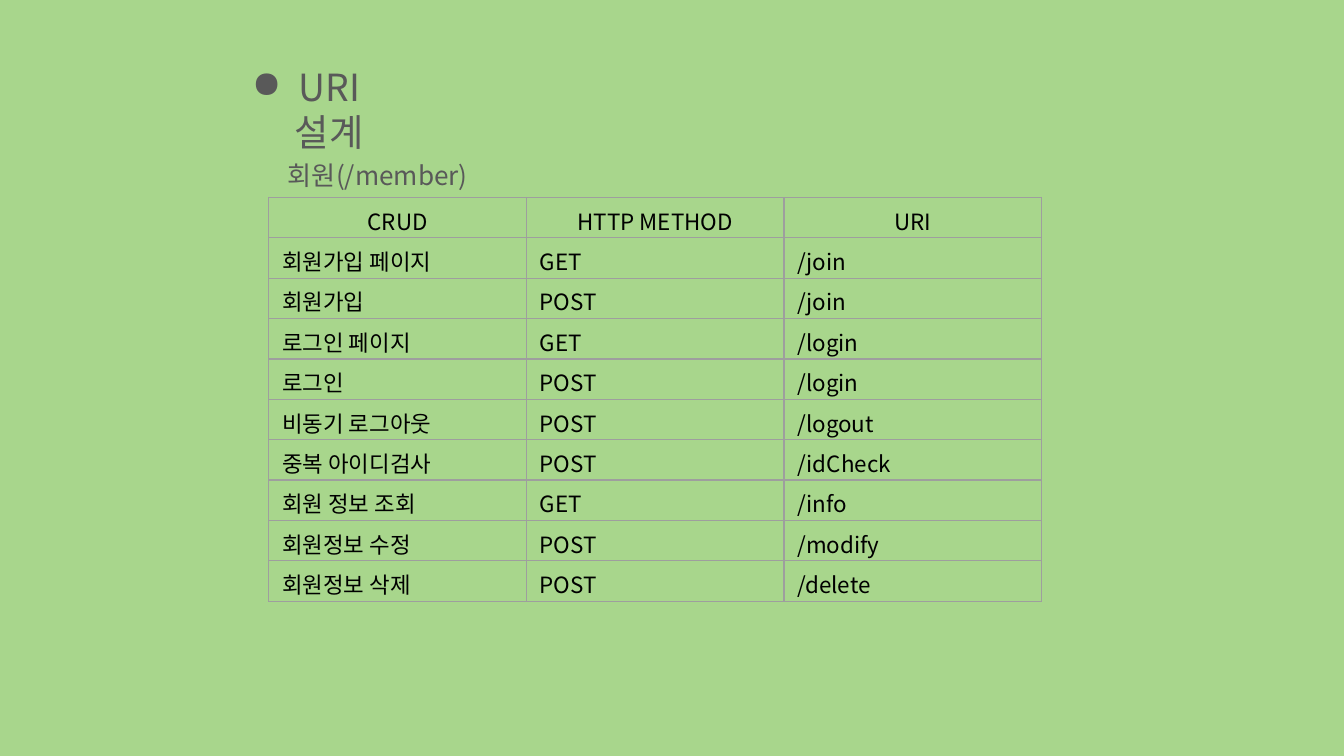
import lxml.etree as etree
import pptx
import pptx.dml.color
import pptx.enum.text
import pptx.oxml.ns
import pptx.util

Pt = pptx.util.Pt
qn = pptx.oxml.ns.qn
RGB = pptx.dml.color.RGBColor
CENTER = pptx.enum.text.PP_ALIGN.CENTER
LEFT = pptx.enum.text.PP_ALIGN.LEFT
MIDDLE = pptx.enum.text.MSO_ANCHOR.MIDDLE

GREEN = RGB(0xA8, 0xD6, 0x8C)
GRAY = RGB(0x59, 0x59, 0x59)
BLACK = RGB(0x00, 0x00, 0x00)
RULE = RGB(0x9E, 0x9E, 0x9E)
FONT = "Noto Sans CJK KR"

ROWS = [
    ("CRUD", "HTTP METHOD", "URI"),
    ("회원가입 페이지", "GET", "/join"),
    ("회원가입", "POST", "/join"),
    ("로그인 페이지", "GET", "/login"),
    ("로그인", "POST", "/login"),
    ("비동기 로그아웃", "POST", "/logout"),
    ("중복 아이디검사", "POST", "/idCheck"),
    ("회원 정보 조회", "GET", "/info"),
    ("회원정보 수정", "POST", "/modify"),
    ("회원정보 삭제", "POST", "/delete"),
]


def add_run(para, text, size, color):
    run = para.add_run()
    run.text = text
    run.font.size = Pt(size)
    run.font.color.rgb = color
    run.font.name = FONT
    etree.SubElement(run.font._element, qn("a:ea"), typeface=FONT)


def add_label(slide, box, text, size, margin, hang=0, bullet=None):
    """Add a centred text box; margin and hang set the paragraph indent."""
    shape = slide.shapes.add_textbox(*map(Pt, box))
    frame = shape.text_frame
    frame.word_wrap = True
    frame.vertical_anchor = MIDDLE
    frame.margin_left = frame.margin_right = Pt(7.2)
    frame.margin_top = frame.margin_bottom = Pt(7.2)
    para = frame.paragraphs[0]
    para.alignment = CENTER
    props = para._p.get_or_add_pPr()
    props.set("marL", str(Pt(margin)))
    props.set("indent", str(Pt(-hang)))
    if bullet:
        tint = etree.SubElement(props, qn("a:buClr"))
        etree.SubElement(tint, qn("a:srgbClr"), val=str(GRAY))
        etree.SubElement(props, qn("a:buChar"), char=bullet)
    add_run(para, text, size, GRAY)


def add_rules(cell):
    """Draw a thin line on each side of the cell."""
    props = cell._tc.get_or_add_tcPr()
    for side in ("lnL", "lnR", "lnT", "lnB"):
        line = etree.SubElement(props, qn(f"a:{side}"), w=str(Pt(0.75)))
        fill = etree.SubElement(line, qn("a:solidFill"))
        etree.SubElement(fill, qn("a:srgbClr"), val=str(RULE))


def add_grid(slide, left, top, width, pitch):
    frame = slide.shapes.add_table(
        len(ROWS), len(ROWS[0]), Pt(left), Pt(top),
        Pt(width), Pt(pitch * len(ROWS)))
    table = frame.table
    table.first_row = False
    table.horz_banding = False
    for i, row in enumerate(ROWS):
        for j, text in enumerate(row):
            cell = table.cell(i, j)
            add_rules(cell)
            cell.fill.background()
            para = cell.text_frame.paragraphs[0]
            para.alignment = LEFT if i else CENTER
            add_run(para, text, 12, BLACK)


def main():
    deck = pptx.Presentation()
    deck.slide_width = Pt(720)
    deck.slide_height = Pt(405)
    slide = deck.slides.add_slide(deck.slide_layouts[6])
    fill = slide.background.fill
    fill.solid()
    fill.fore_color.rgb = GREEN
    add_label(slide, (102, 48, 113, 21), "URI 설계", 20, 36, 25, "●")
    add_label(slide, (102, 83, 172, 22), "회원(/member)", 14, 29)
    add_grid(slide, 144, 105.8, 414, 21.6)
    deck.save("out.pptx")


if __name__ == "__main__":
    main()
